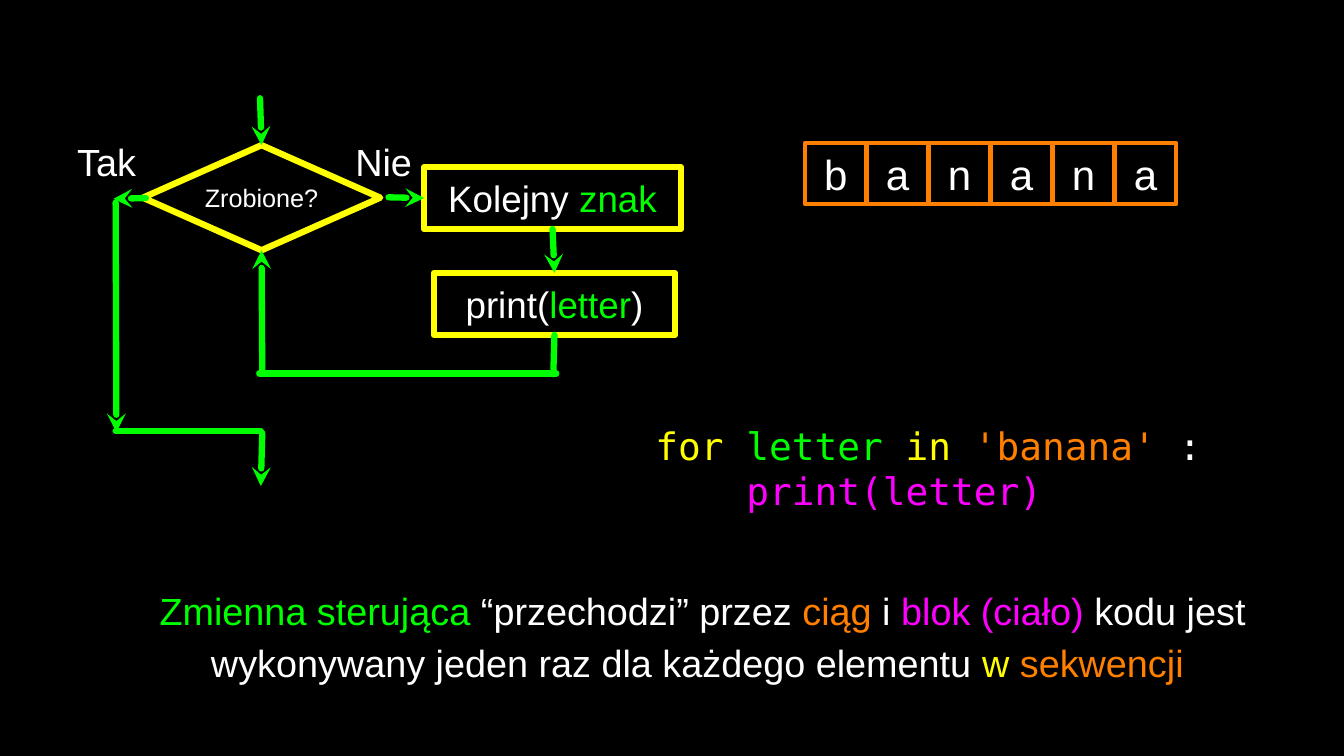
from lxml.etree import SubElement
from pptx import Presentation
from pptx.dml.color import RGBColor
from pptx.enum.shapes import MSO_CONNECTOR, MSO_SHAPE
from pptx.enum.text import MSO_ANCHOR, PP_ALIGN
from pptx.oxml.ns import qn
from pptx.util import Inches, Pt

THEME = {
    "black": "000000", "white": "FFFFFF", "green": "00FF00",
    "yellow": "FFFF00", "orange": "FF7F00", "magenta": "FF00FF",
    "sans": "Arial", "mono": "DejaVu Sans Mono",
    "small": 24, "box": 35, "body": 36, "cell": 40,
    "flow_line": 6, "cell_line": 4,
}

# Flowchart nodes: name -> (shape, position and size, text size, runs)
NODES = {
    "done": (MSO_SHAPE.DIAMOND, (1.89, 1.92, 3.14, 1.39), "small",
             [("Zrobione?", "white")]),
    "next": (MSO_SHAPE.RECTANGLE, (5.61, 2.21, 3.4, 0.82), "box",
             [("Kolejny ", "white"), ("znak", "green")]),
    "print": (MSO_SHAPE.RECTANGLE, (5.74, 3.61, 3.19, 0.82), "box",
              [("print(", "white"), ("letter", "green"), (")", "white")]),
}
TOP, LEFT, BOTTOM, RIGHT = range(4)

# Flow lines: start, end, arrowhead, (node, side) at start, (node, side) at end
FLOW = [
    ((3.44, 1.3), (3.46, 1.92), True, None, ("done", TOP)),
    ((5.14, 2.61), (5.61, 2.62), True, None, ("next", LEFT)),
    ((7.31, 3.03), (7.33, 3.61), True, ("next", BOTTOM), ("print", TOP)),
    ((7.33, 4.43), (7.32, 4.95), False, ("print", BOTTOM), None),
    ((3.43, 4.94), (7.36, 4.94), False, None, None),
    ((3.47, 4.94), (3.46, 3.31), True, None, ("done", BOTTOM)),
    ((1.93, 2.62), (1.5, 2.63), True, None, None),
    ((1.53, 2.68), (1.54, 5.72), True, None, None),
    ((1.53, 5.7), (3.45, 5.7), False, None, None),
    ((3.47, 5.73), (3.45, 6.43), True, None, None),
]
LABELS = [("Tak", (0.93, 1.79, 0.96, 0.68)), ("Nie", (4.68, 1.79, 0.79, 0.68))]

WORD = "banana"
CELL_LEFT, CELL_TOP, CELL_SIZE, CELL_PITCH = 10.65, 1.89, 0.81, 0.82

CODE = [
    [("for", "yellow"), (" letter ", "green"), ("in", "yellow"),
     (" 'banana' ", "orange"), (":", "white")],
    [("    print(letter)", "magenta")],
]
SUMMARY = [
    (" Zmienna sterująca ", "green"), ("“przechodzi” przez ", "white"),
    ("ciąg ", "orange"), ("i ", "white"), ("blok (ciało)", "magenta"),
    (" kodu jest wykonywany jeden raz dla każdego elementu ", "white"),
    ("w ", "yellow"), ("sekwencji", "orange"),
]


def color(name):
    return RGBColor.from_string(THEME[name])


def write(shape, paragraphs, size, font="sans", align=PP_ALIGN.CENTER, wrap=True, spacing=None):
    tf = shape.text_frame
    tf.word_wrap = wrap
    tf.vertical_anchor = MSO_ANCHOR.MIDDLE
    tf.margin_left = tf.margin_right = tf.margin_top = tf.margin_bottom = 0
    for i, runs in enumerate(paragraphs):
        p = tf.add_paragraph() if i else tf.paragraphs[0]
        p.alignment = align
        if spacing:
            p.line_spacing = spacing
        for text, name in runs:
            r = p.add_run()
            r.text = text
            r.font.name = THEME[font]
            r.font.size = Pt(THEME[size])
            r.font.color.rgb = color(name)


def add_box(s, kind, place, line, width):
    sp = s.shapes.add_shape(kind, *map(Inches, place))
    sp.shadow.inherit = False
    sp.fill.background()
    sp.line.color.rgb = color(line)
    sp.line.width = Pt(THEME[width])
    SubElement(sp.line._get_or_add_ln(), qn("a:round"))
    return sp


def add_text(s, place, paragraphs, **style):
    sp = s.shapes.add_textbox(*map(Inches, place))
    write(sp, paragraphs, "body", **style)


def add_flow(s, start, end, arrow, source, target, nodes):
    c = s.shapes.add_connector(MSO_CONNECTOR.STRAIGHT, *map(Inches, start + end))
    if source:
        c.begin_connect(nodes[source[0]], source[1])
    if target:
        c.end_connect(nodes[target[0]], target[1])
    c.line.color.rgb = color("green")
    c.line.width = Pt(THEME["flow_line"])
    ln = c.line._get_or_add_ln()
    ln.set("cap", "rnd")
    SubElement(ln, qn("a:round"))
    if arrow:
        SubElement(ln, qn("a:tailEnd"), type="stealth")
    SubElement(c._element.spPr, qn("a:effectLst"))


def main():
    prs = Presentation()
    prs.slide_width, prs.slide_height = Inches(17.78), Inches(10)
    s = prs.slides.add_slide(prs.slide_layouts[6])
    s.background.fill.solid()
    s.background.fill.fore_color.rgb = color("black")

    # Flowchart
    nodes = {}
    for name, (kind, place, size, runs) in NODES.items():
        nodes[name] = add_box(s, kind, place, "yellow", "flow_line")
        write(nodes[name], [runs], size)
    for flow in FLOW:
        add_flow(s, *flow, nodes)
    for text, place in LABELS:
        add_text(s, place, [[(text, "white")]], wrap=False)

    # Letters of the string
    for i, letter in enumerate(WORD):
        place = (CELL_LEFT + i * CELL_PITCH, CELL_TOP, CELL_SIZE, CELL_SIZE)
        cell = add_box(s, MSO_SHAPE.RECTANGLE, place, "orange", "cell_line")
        write(cell, [[(letter, "white")]], "cell")

    # Code and summary
    add_text(s, (8.67, 5.56, 7.26, 1.25), CODE, font="mono",
             align=PP_ALIGN.LEFT, wrap=False)
    add_text(s, (1.28, 7.63, 15.89, 1.48), [SUMMARY], spacing=1.15)

    prs.save("out.pptx")


if __name__ == "__main__":
    main()
